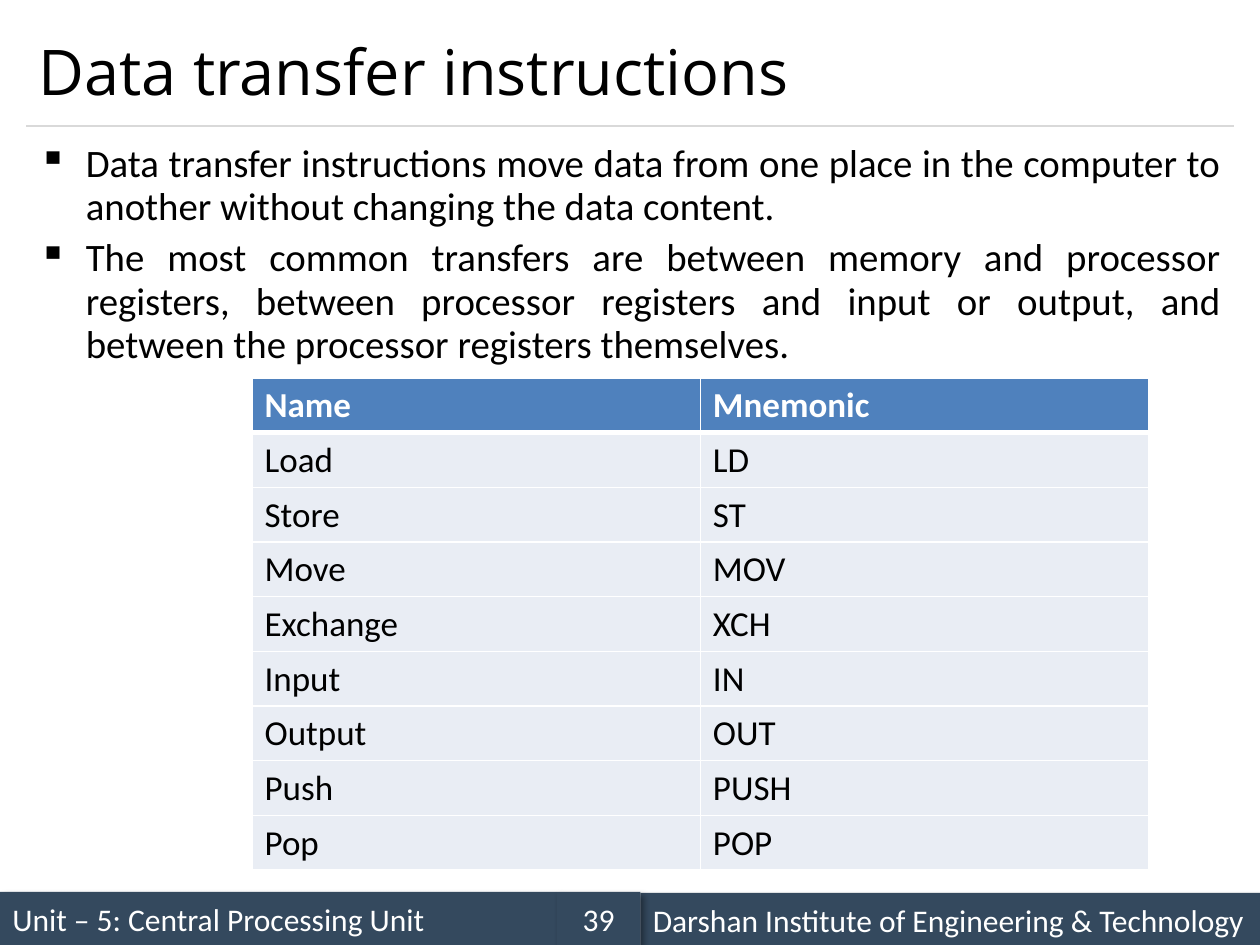
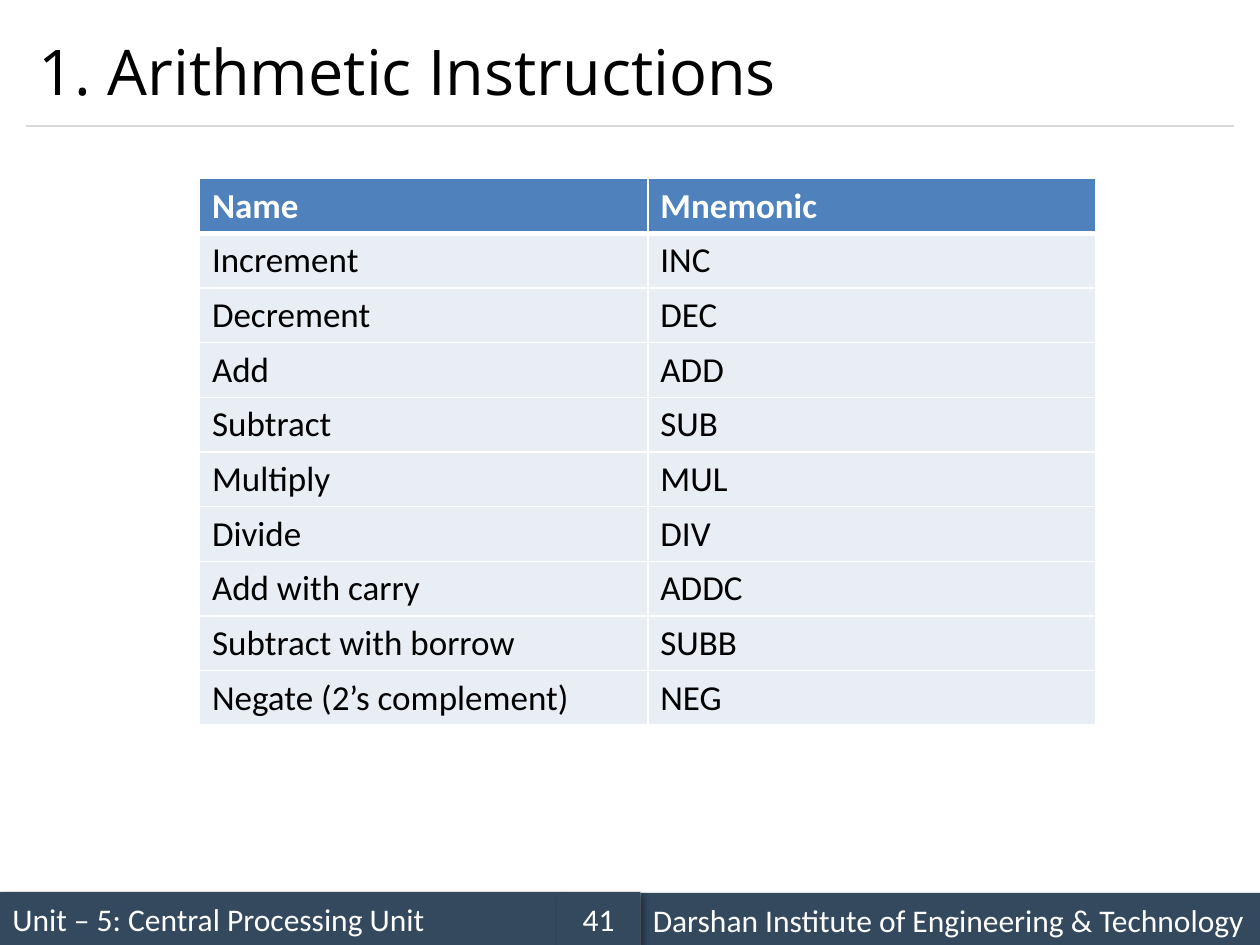
from lxml import etree
from pptx import Presentation
from pptx.dml.color import RGBColor
from pptx.enum.shapes import MSO_CONNECTOR, MSO_SHAPE
from pptx.enum.text import MSO_ANCHOR, PP_ALIGN
from pptx.oxml import parse_xml
from pptx.oxml.ns import qn
from pptx.util import Cm, Pt

LINE = MSO_CONNECTOR.STRAIGHT
RECT = MSO_SHAPE.RECTANGLE
MIDDLE = MSO_ANCHOR.MIDDLE
LEFT, CENTER, JUSTIFY = PP_ALIGN.LEFT, PP_ALIGN.CENTER, PP_ALIGN.JUSTIFY

NS = 'xmlns:a="http://schemas.openxmlformats.org/drawingml/2006/main"'
WHITE, BLACK, NAVY, GREY = "FFFFFF", "000000", "34495E", "D9D9D9"
BLUE, PALE = "4F81BD", "E9EDF4"
BODY, HEAD = "Calibri", "Open Sans"
WIDE, TALL, EDGE = 25.4, 19.05, 0.53
FOOT = 1.07
UNIT = "Unit – 5: Central Processing Unit"
SCHOOL = "Darshan Institute of Engineering & Technology"

POINTS = [
    "Data transfer instructions move data from one place in the computer "
    "to another without changing the data content.",
    "The most common transfers are between memory and processor registers, "
    "between processor registers and input or output, and between the "
    "processor registers themselves.",
]
MOVES = [
    ("Name", "Mnemonic"),
    ("Load", "LD"),
    ("Store", "ST"),
    ("Move", "MOV"),
    ("Exchange", "XCH"),
    ("Input", "IN"),
    ("Output", "OUT"),
    ("Push", "PUSH"),
    ("Pop", "POP"),
]
SUMS = [
    ("Name", "Mnemonic"),
    ("Increment", "INC"),
    ("Decrement", "DEC"),
    ("Add", "ADD"),
    ("Subtract", "SUB"),
    ("Multiply", "MUL"),
    ("Divide", "DIV"),
    ("Add with carry", "ADDC"),
    ("Subtract with borrow", "SUBB"),
    ("Negate (2’s complement)", "NEG"),
]


def color(code):
    """Turn a hex string into a colour."""
    return RGBColor.from_string(code)


def write(para, text, size, ink, face=BODY, bold=False):
    """Add one styled run to a paragraph."""
    run = para.add_run()
    run.text = text
    font = run.font
    font.name, font.size, font.bold = face, Pt(size), bold
    font.color.rgb = color(ink)


def add_bar(slide, box, text, align=LEFT):
    """Draw one part of the footer with its soft shadow."""
    bar = slide.shapes.add_shape(RECT, *map(Cm, box))
    bar.fill.solid()
    bar.fill.fore_color.rgb = color(NAVY)
    bar.line.fill.background()
    bar.shadow.inherit = False
    glow = bar._element.spPr.find(qn("a:effectLst"))
    glow.append(parse_xml(
        f'<a:outerShdw {NS} blurRad="50800" dist="38100" dir="2700000" '
        f'algn="tl" rotWithShape="0"><a:srgbClr val="{BLACK}">'
        '<a:alpha val="40000"/></a:srgbClr></a:outerShdw>'))
    bar.text_frame.vertical_anchor = MIDDLE
    para = bar.text_frame.paragraphs[0]
    para.alignment = align
    write(para, text, 18, WHITE)


def add_foot(slide, page):
    """Draw the footer: unit, school and page number."""
    top, left, right = TALL - FOOT, 11.23, 12.91
    add_bar(slide, (0, top, left, FOOT), UNIT)
    add_bar(slide, (right, top + 0.02, WIDE - right, FOOT), SCHOOL)
    add_bar(slide, (left, top, right - left, FOOT), page, CENTER)


def add_title(slide, box, text):
    """Write the title and rule a line under it."""
    left, top, width, height = box
    frame = slide.shapes.add_textbox(*map(Cm, box)).text_frame
    frame.word_wrap = True
    frame.vertical_anchor = MIDDLE
    write(frame.paragraphs[0], text, 36, BLACK, HEAD)
    base = Cm(top + height)
    rule = slide.shapes.add_connector(
        LINE, Cm(left), base, Cm(left + width), base)
    rule.line.color.rgb = color(GREY)
    rule.line.width = Pt(0.75)
    etree.SubElement(rule._element.spPr, qn("a:effectLst"))


def add_list(slide, box, points):
    """Write justified points with square bullets."""
    frame = slide.shapes.add_textbox(*map(Cm, box)).text_frame
    frame.word_wrap = True
    for i, point in enumerate(points):
        para = frame.add_paragraph() if i else frame.paragraphs[0]
        props = para._p.get_or_add_pPr()
        props.set("marL", str(Cm(0.95)))
        props.set("indent", str(-Cm(0.95)))
        etree.SubElement(props, qn("a:buChar")).set("char", "▪")
        para.alignment = JUSTIFY
        para.line_spacing = 0.93
        if i:
            para.space_before = Pt(4.5)
        write(para, point, 22.2, BLACK)


def edge_cell(cell, **widths):
    """Give a cell white borders, one width in points for each side."""
    props = cell._tc.get_or_add_tcPr()
    for side, width in widths.items():
        props.append(parse_xml(
            f'<a:ln{side} {NS} w="{Pt(width)}"><a:solidFill>'
            f'<a:srgbClr val="{WHITE}"/></a:solidFill></a:ln{side}>'))


def add_grid(slide, left, top, rows, width=18.08, step=1.1):
    """Build a table with a blue head row and pale rows."""
    count = len(rows[0])
    grid = slide.shapes.add_table(
        len(rows), count, Cm(left), Cm(top), Cm(width),
        Cm(step * len(rows))).table
    for col in grid.columns:
        col.width = Cm(width / count)
    for r, row in enumerate(rows):
        grid.rows[r].height = Cm(step)
        first = r == 0
        for c, text in enumerate(row):
            cell = grid.cell(r, c)
            edge_cell(cell, L=1, R=1, T=3 if r == 1 else 1,
                      B=3 if first else 1)
            cell.fill.solid()
            cell.fill.fore_color.rgb = color(BLUE if first else PALE)
            write(cell.text_frame.paragraphs[0], text, 20,
                  WHITE if first else BLACK, bold=first)


def add_page(deck, title, page):
    """Start a slide with the shared footer and title."""
    slide = deck.slides.add_slide(deck.slide_layouts[6])
    add_foot(slide, page)
    add_title(slide, (EDGE, 0.3, WIDE - 2 * EDGE, 2.24), title)
    return slide


def main():
    """Build both slides and save the deck."""
    deck = Presentation()
    deck.slide_width, deck.slide_height = Cm(WIDE), Cm(TALL)
    slide = add_page(deck, "Data transfer instructions", "39")
    add_list(slide, (EDGE, 2.75, WIDE - 2 * EDGE, 5.08), POINTS)
    add_grid(slide, 5.08, 7.62, MOVES)
    slide = add_page(deck, "1. Arithmetic Instructions", "41")
    add_grid(slide, 4.02, 3.6, SUMS)
    deck.save("out.pptx")


if __name__ == "__main__":
    main()
